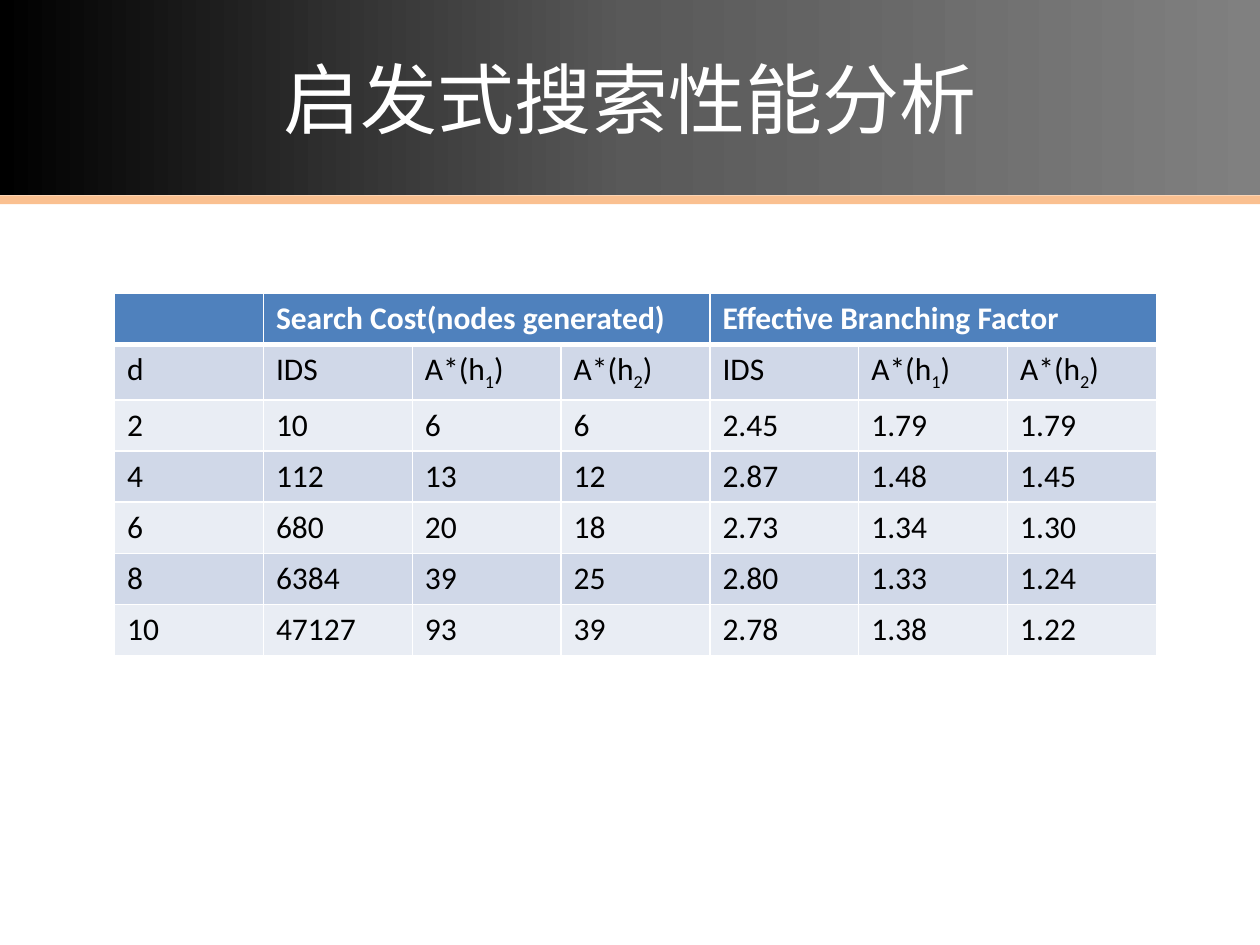
from copy import deepcopy

from lxml import etree
from pptx import Presentation
from pptx.dml.color import RGBColor
from pptx.enum import shapes, text
from pptx.oxml import ns
from pptx.util import Inches, Pt

COLORS = {
    "white": "FFFFFF", "black": "000000", "dark": "595959", "gray": "808080",
    "accent": "FAC090", "header": "4F81BD", "band": "D0D8E8", "light": "E9EDF4",
}
rgb = {name: RGBColor.from_string(value) for name, value in COLORS.items()}


def write(frame, content, size=18, color="black", bold=False, font="Calibri",
          align=text.PP_ALIGN.LEFT):
    """Write text into a frame; each part after a '_' starts with one subscript character."""
    paragraph = frame.paragraphs[0]
    paragraph.alignment = align
    first, *rest = content.split("_")
    pieces = [(first, False)]
    for part in rest:
        pieces += [(part[0], True), (part[1:], False)]
    for piece, lowered in pieces:
        run = paragraph.add_run()
        run.text = piece
        run.font.size, run.font.bold, run.font.name = Pt(size), bold, font
        run.font.color.rgb = rgb[color]
        etree.SubElement(run.font._element, ns.qn("a:ea"), typeface=font)
        if lowered:
            run.font._element.set("baseline", "-25000")


def paint(cell, fill, top=1, bottom=1):
    """Fill a cell and give it white borders, widths in points."""
    properties = cell._tc.get_or_add_tcPr()
    for side, width in zip("LRTB", (1, 1, top, bottom)):
        line = etree.SubElement(properties, ns.qn(f"a:ln{side}"), w=str(Pt(width)))
        solid = etree.SubElement(line, ns.qn("a:solidFill"))
        etree.SubElement(solid, ns.qn("a:srgbClr"), val=COLORS["white"])
    cell.fill.solid()
    cell.fill.fore_color.rgb = rgb[fill]


deck = Presentation()
deck.slide_width, deck.slide_height = Inches(10), Inches(7.5)
slide = deck.slides.add_slide(deck.slide_layouts[6])

# Title band with the accent rule below it
rule, banner = (
    slide.shapes.add_shape(shapes.MSO_SHAPE.RECTANGLE, 0, Inches(top), Inches(10), Inches(height))
    for top, height in ((1.55, 0.07), (0, 1.55))
)
for bar in (rule, banner):
    bar.shadow.inherit = False
    bar.line.fill.background()
rule.fill.solid()
rule.fill.fore_color.rgb = rgb["accent"]

banner.fill.gradient()
banner.fill.gradient_angle = 0
first_stop = banner.fill.gradient_stops[0]._gs
first_stop.addnext(deepcopy(first_stop))
for stop, (position, shade) in zip(banner.fill.gradient_stops,
                                   ((0, "black"), (0.5, "dark"), (1, "gray"))):
    stop.position = position
    stop.color.rgb = rgb[shade]
banner.text_frame.vertical_anchor = text.MSO_ANCHOR.MIDDLE
write(banner.text_frame, "启发式搜索性能分析", size=44, color="white",
      font="Noto Sans CJK SC", align=text.PP_ALIGN.CENTER)

# Search cost and branching factor by solution depth
methods = ["IDS", "A*(h_1)", "A*(h_2)"]
results = [
    ["", "Search Cost(nodes generated)", "", "", "Effective Branching Factor", "", ""],
    ["d", *methods, *methods],
    ["2", "10", "6", "6", "2.45", "1.79", "1.79"],
    ["4", "112", "13", "12", "2.87", "1.48", "1.45"],
    ["6", "680", "20", "18", "2.73", "1.34", "1.30"],
    ["8", "6384", "39", "25", "2.80", "1.33", "1.24"],
    ["10", "47127", "93", "39", "2.78", "1.38", "1.22"],
]
table = slide.shapes.add_table(len(results), len(results[0]), Inches(0.91), Inches(2.33),
                               Inches(8.27), Inches(2.84)).table
for start in (1, 4):
    table.cell(0, start).merge(table.cell(0, start + 2))
for row, values in enumerate(results):
    heading = row == 0
    fill = "header" if heading else "band" if row % 2 else "light"
    for column, value in enumerate(values):
        cell = table.cell(row, column)
        paint(cell, fill, top=3 if row == 1 else 1, bottom=3 if heading else 1)
        if value:
            write(cell.text_frame, value, color="white" if heading else "black", bold=heading)

deck.save("out.pptx")
